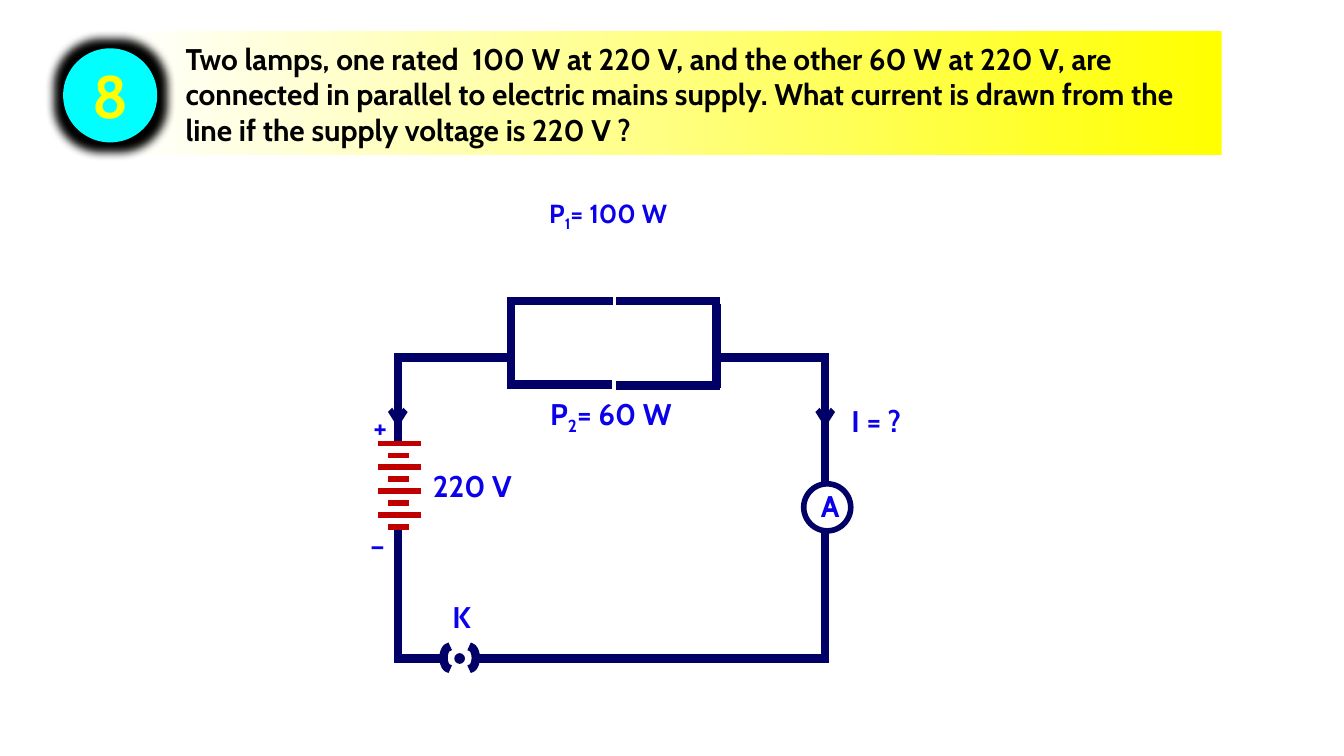
import pptx
import pptx.util
import pptx.dml.color
import pptx.enum.shapes
import pptx.enum.text
import pptx.oxml
import pptx.oxml.ns
from pptx.util import Inches

COLORS = {"wire": "000066", "cell": "C00000", "label": "0B00EA", "cyan": "00FFFF",
          "yellow": "FFFF00", "pale": "FFFFB4", "white": "FFFFFF", "black": "000000"}
RGB = {name: pptx.dml.color.RGBColor.from_string(value) for name, value in COLORS.items()}
NAMESPACE = pptx.oxml.ns.nsdecls("a")
SHAPE = pptx.enum.shapes.MSO_SHAPE
ALIGN = pptx.enum.text.PP_ALIGN
ANCHOR = pptx.enum.text.MSO_ANCHOR

# Widescreen page, 16 to 9
deck = pptx.Presentation()
deck.slide_width, deck.slide_height = Inches(10), Inches(10 * 9 / 16)
page = deck.slides.add_slide(deck.slide_layouts[5])


def add_line(x1, y1, x2, y2, color="wire", width=4.5):
    line = page.shapes.add_connector(pptx.enum.shapes.MSO_CONNECTOR.STRAIGHT,
                                     Inches(x1), Inches(y1), Inches(x2), Inches(y2))
    line.line.color.rgb = RGB[color]
    line.line.width = pptx.util.Pt(width)
    line._element.spPr.append(pptx.oxml.parse_xml(f"<a:effectLst {NAMESPACE}/>"))
    return line


def write(box, text, size=16, color="label", align=ALIGN.CENTER, anchor=ANCHOR.TOP):
    """Fill a box with one paragraph; a part between underscores is a subscript."""
    frame = box.text_frame
    frame.word_wrap = True
    frame.auto_size = pptx.enum.text.MSO_AUTO_SIZE.NONE
    frame.vertical_anchor = anchor
    para = frame.paragraphs[0]
    para.alignment = align
    for index, part in enumerate(text.split("_")):
        span = para.add_run()
        span.text = part
        span.font.name = "Cabin"
        span.font.size = pptx.util.Pt(size)
        span.font.bold = True
        span.font.color.rgb = RGB[color]
        if index % 2:
            span._r.get_or_add_rPr().set("baseline", "-25000")


# Circuit wires
wires = [
    (6.14, 2.66, 6.14, 4.91), (2.96, 2.63, 2.96, 3.29), (2.96, 3.92, 2.96, 4.91),
    (2.93, 4.9, 3.33, 4.9), (3.51, 4.9, 6.17, 4.9),
    (2.95, 2.66, 3.8, 2.66), (5.32, 2.66, 6.17, 2.66),
    (3.8, 2.26, 3.8, 2.89), (5.33, 2.26, 5.33, 2.89),
    (3.77, 2.24, 4.56, 2.24), (5.36, 2.24, 4.58, 2.24),
    (3.77, 2.86, 4.55, 2.86), (5.36, 2.87, 4.58, 2.87),
]
for wire in wires:
    add_line(*wire)

# Battery: long and short plates in turn
for plate in range(8):
    y = 3.3 + plate * 0.62 / 7
    left, right = (2.89, 3.04) if plate % 2 else (2.81, 3.13)
    add_line(left, y, right, y, "cell", 3)

# Current arrows
for x in (2.96, 6.14):
    arrow = add_line(x, 3.04, x, 3.18, width=3)
    arrow.line._get_or_add_ln().append(
        pptx.oxml.parse_xml(f'<a:tailEnd {NAMESPACE} type="arrow"/>'))

# Plug key
for kind, x in ((SHAPE.LEFT_BRACKET, 3.3), (SHAPE.RIGHT_BRACKET, 3.49)):
    bracket = page.shapes.add_shape(kind, Inches(x), Inches(4.81), Inches(0.05), Inches(0.17))
    bracket.adjustments[0] = 1.7
    bracket.shadow.inherit = False
    bracket.fill.background()
    bracket.line.color.rgb = RGB["wire"]
    bracket.line.width = pptx.util.Pt(4.5)
plug = page.shapes.add_shape(SHAPE.FLOWCHART_CONNECTOR, Inches(3.38), Inches(4.86),
                             Inches(0.08), Inches(0.08))
plug.shadow.inherit = False
plug.fill.solid()
plug.fill.fore_color.rgb = RGB["wire"]
plug.line.fill.background()

# Ammeter
ammeter = page.shapes.add_shape(SHAPE.OVAL, Inches(5.98), Inches(3.6), Inches(0.35), Inches(0.35))
ammeter.shadow.inherit = False
ammeter.fill.solid()
ammeter.fill.fore_color.rgb = RGB["white"]
ammeter.line.color.rgb = RGB["wire"]
ammeter.line.width = pptx.util.Pt(3)

# Question banner
banner = page.shapes.add_shape(SHAPE.ROUNDED_RECTANGLE, Inches(0.85), Inches(0.23),
                               Inches(8.24), Inches(0.92))
banner.adjustments[0] = 0
banner.shadow.inherit = False
banner.line.fill.background()
banner.fill.gradient()
gradient = banner._element.spPr.find(pptx.oxml.ns.qn("a:gradFill"))
stops = "".join(f'<a:gs pos="{place * 1000}"><a:srgbClr val="{COLORS[name]}"/></a:gs>'
                for place, name in ((0, "yellow"), (70, "pale"), (100, "white")))
gradient.getparent().replace(gradient, pptx.oxml.parse_xml(
    f'<a:gradFill {NAMESPACE}><a:gsLst>{stops}</a:gsLst>'
    '<a:lin ang="10800000" scaled="0"/></a:gradFill>'))

# Question as the slide title, in front of the banner
title = page.shapes.title
title.left, title.top = Inches(0.99), Inches(0.32)
title.width, title.height = Inches(8.12), Inches(0.76)
title.text_frame.margin_left = Inches(0.39)
write(title, "Two lamps, one rated  100 W at 220 V, and the other 60 W at 220 V, are "
      "connected in parallel to electric mains supply. What current is drawn from the "
      "line if the supply voltage is 220 V ?",
      color="black", align=ALIGN.LEFT, anchor=ANCHOR.MIDDLE)
banner._element.addnext(title._element)

# Question number badge with a dark glow
badge = page.shapes.add_shape(SHAPE.OVAL, Inches(0.47), Inches(0.36), Inches(0.7), Inches(0.7))
badge.fill.solid()
badge.fill.fore_color.rgb = RGB["cyan"]
badge.line.fill.background()
badge._element.spPr.append(pptx.oxml.parse_xml(
    f'<a:effectLst {NAMESPACE}><a:glow rad="{Inches(0.14)}">'
    f'<a:srgbClr val="{COLORS["black"]}"/></a:glow></a:effectLst>'))

# Labels: text, left, top, width, height, size, color, anchor
labels = [
    ("8", 0.59, 0.39, 0.44, 0.64, 32, "yellow", ANCHOR.TOP),
    ("A", 6.01, 3.58, 0.29, 0.37, 16, "label", ANCHOR.MIDDLE),
    ("K", 3.26, 4.4, 0.35, 0.37, 16, "label", ANCHOR.MIDDLE),
    ("+", 2.6, 2.99, 0.46, 0.37, 16, "label", ANCHOR.TOP),
    ("–", 2.58, 3.87, 0.46, 0.37, 16, "label", ANCHOR.TOP),
    ("P_1_= 100 W", 3.95, 1.43, 1.15, 0.34, 14, "label", ANCHOR.MIDDLE),
    ("P_2_= 60 W", 3.97, 2.91, 1.15, 0.37, 16, "label", ANCHOR.MIDDLE),
    ("220 V", 3.08, 3.43, 0.87, 0.37, 16, "label", ANCHOR.TOP),
    ("I = ?", 6.15, 2.95, 0.74, 0.37, 16, "label", ANCHOR.TOP),
]
for text, left, top, width, height, size, color, anchor in labels:
    box = page.shapes.add_textbox(Inches(left), Inches(top), Inches(width), Inches(height))
    write(box, text, size, color, anchor=anchor)

deck.save("out.pptx")
